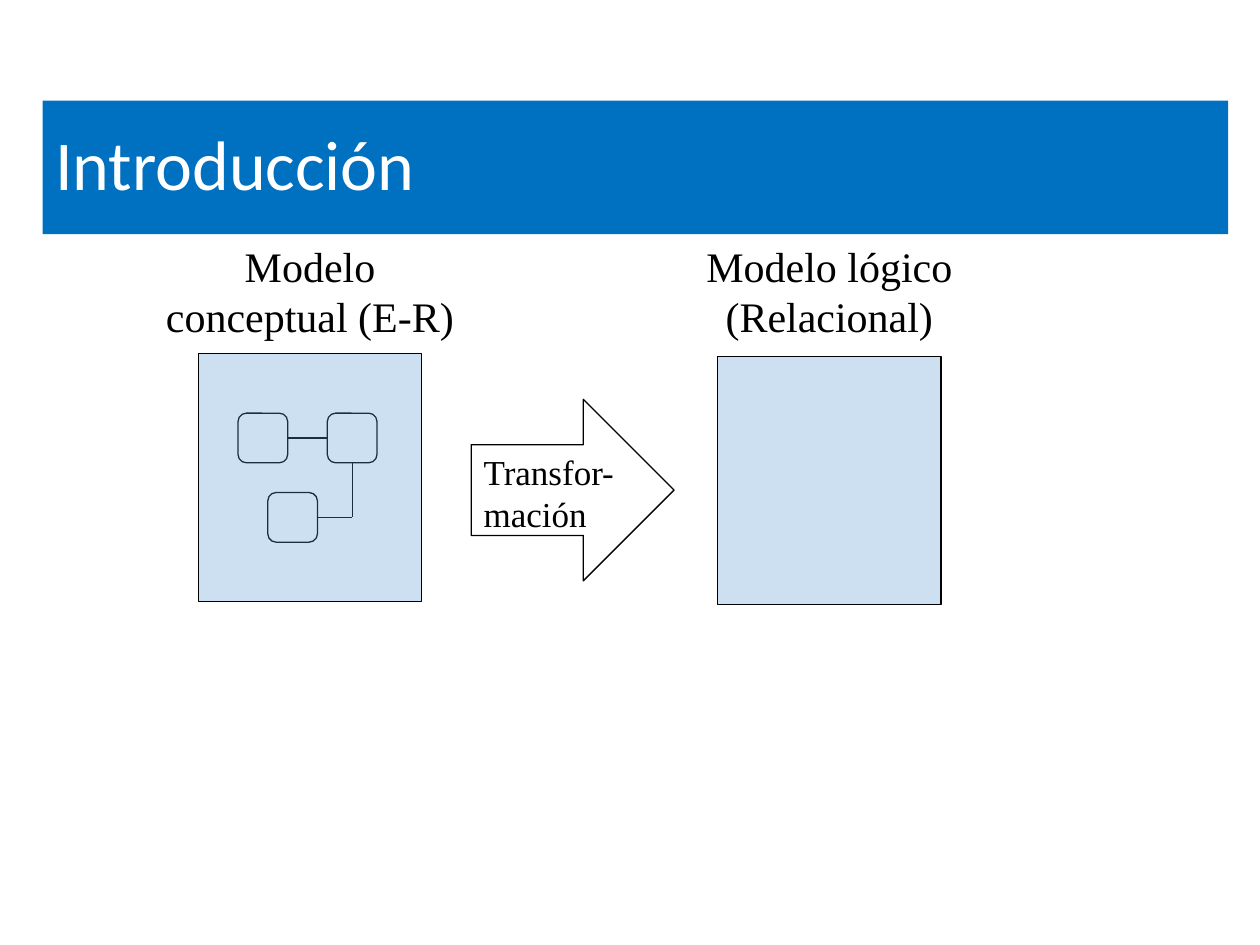
from lxml import etree
from pptx import Presentation
from pptx.dml.color import RGBColor
from pptx.enum.shapes import MSO_CONNECTOR, MSO_SHAPE
from pptx.enum.text import MSO_ANCHOR, MSO_AUTO_SIZE, PP_ALIGN
from pptx.oxml.ns import qn
from pptx.util import Cm, Pt

COLORS = {"banner": "0070C0", "panel": "5B9BD5", "white": "FFFFFF", "black": "000000"}
PANEL_W, PANEL_H = 4.5, 5.0
LABEL_W, LABEL_H, LABEL_TOP = 6.8, 2.3, 4.72
ENTITY = 1.0


def color(name):
    return RGBColor.from_string(COLORS[name])


def write(frame, text, size=24, font="Times New Roman", ink="black",
          align=PP_ALIGN.LEFT, anchor=MSO_ANCHOR.TOP, spacing=None):
    frame.word_wrap = True
    frame.vertical_anchor = anchor
    frame.text = text
    paragraph = frame.paragraphs[0]
    paragraph.alignment = align
    paragraph.line_spacing = spacing
    run_font = paragraph.runs[0].font
    run_font.size, run_font.name = Pt(size), font
    run_font.color.rgb = color(ink)


def outlined(slide, preset, left, top, width, height, fill="white", alpha=None):
    shape = slide.shapes.add_shape(preset, Cm(left), Cm(top), Cm(width), Cm(height))
    shape.shadow.inherit = False
    shape.fill.solid()
    shape.fill.fore_color.rgb = color(fill)
    if alpha is not None:
        srgb = shape.fill._xPr.find(qn("a:solidFill")).find(qn("a:srgbClr"))
        etree.SubElement(srgb, qn("a:alpha")).set("val", str(alpha * 1000))
    shape.line.color.rgb = color("black")
    shape.line.width = Pt(0.75)
    return shape


def link(slide, x1, y1, x2, y2):
    line = slide.shapes.add_connector(
        MSO_CONNECTOR.STRAIGHT, Cm(x1), Cm(y1), Cm(x2), Cm(y2))
    line.line.color.rgb = color("black")
    line.line.width = Pt(0.75)
    etree.SubElement(line._element.spPr, qn("a:effectLst"))
    return line


def add_banner(slide, left, top, width, height):
    title = slide.shapes.title
    title.left, title.top, title.width, title.height = map(Cm, (left, top, width, height))
    title.fill.solid()
    title.fill.fore_color.rgb = color("banner")
    write(title.text_frame, "Introducción", size=40, font="Calibri", ink="white",
          anchor=MSO_ANCHOR.MIDDLE, spacing=0.9)


def add_entities(slide, left, top):
    """Three linked entities inside the panel at left, top."""
    first, second, third = [
        outlined(slide, MSO_SHAPE.ROUNDED_RECTANGLE, left + dx, top + dy, ENTITY, ENTITY)
        for dx, dy in ((0.8, 1.2), (2.6, 1.2), (1.4, 2.8))]
    corner_x, corner_y = left + 2.6 + ENTITY / 2, top + 2.8 + ENTITY / 2
    down = link(slide, corner_x, top + 1.2 + ENTITY, corner_x, corner_y)
    down.begin_connect(second, 2)
    back = link(slide, left + 1.4 + ENTITY, corner_y, corner_x, corner_y)
    back.begin_connect(third, 3)
    across = link(slide, left + 0.8 + ENTITY, top + 1.7, left + 2.6, top + 1.7)
    across.begin_connect(first, 3)
    across.end_connect(second, 1)


def add_model(slide, left, top, name):
    """Translucent panel with its name centred above it."""
    outlined(slide, MSO_SHAPE.RECTANGLE, left, top, PANEL_W, PANEL_H,
             fill="panel", alpha=30)
    label = slide.shapes.add_textbox(
        Cm(left + (PANEL_W - LABEL_W) / 2), Cm(LABEL_TOP), Cm(LABEL_W), Cm(LABEL_H))
    write(label.text_frame, name, align=PP_ALIGN.CENTER)
    label.text_frame.auto_size = MSO_AUTO_SIZE.SHAPE_TO_FIT_TEXT


def add_transformation(slide, left, top, width, height):
    arrow = outlined(slide, MSO_SHAPE.RIGHT_ARROW, left, top, width, height)
    write(arrow.text_frame, "Transfor-mación", size=20)


def main():
    deck = Presentation()
    deck.slide_width, deck.slide_height = Cm(25.4), Cm(19.05)
    slide = deck.slides.add_slide(deck.slide_layouts[5])

    # Title banner
    add_banner(slide, 0.86, 2.03, 23.9, 2.69)

    # Conceptual model; the panel tints the entities beneath it
    add_entities(slide, 4, 7.13)
    add_model(slide, 4, 7.13, "Modelo conceptual (E-R)")

    # Transformation into the logical model
    add_transformation(slide, 9.5, 8.05, 4.09, 3.66)
    add_model(slide, 14.47, 7.19, "Modelo lógico (Relacional)")

    deck.save("out.pptx")


if __name__ == "__main__":
    main()
